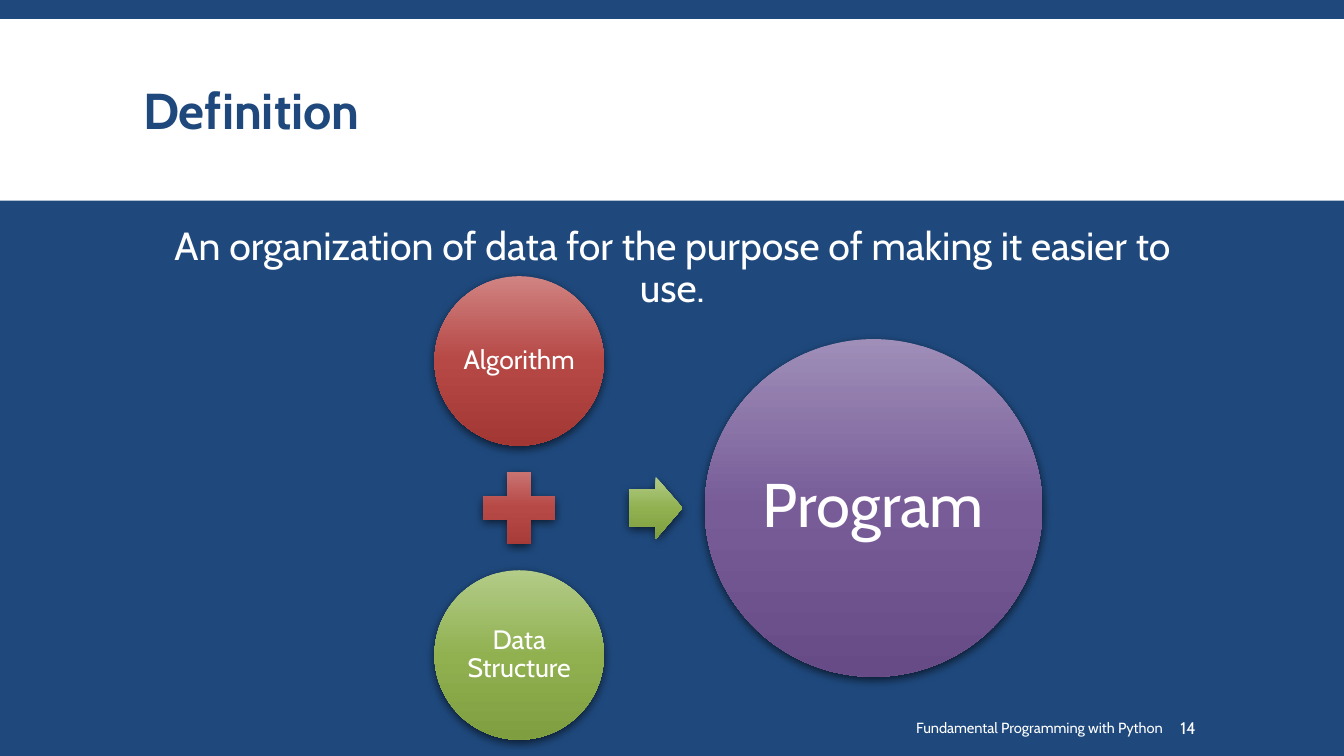
import copy

import pptx
import pptx.dml.color
import pptx.enum.shapes
import pptx.enum.text
import pptx.oxml
import pptx.oxml.ns
import pptx.util

Cm = pptx.util.Cm
Pt = pptx.util.Pt
Shape = pptx.enum.shapes.MSO_SHAPE
Align = pptx.enum.text.PP_ALIGN
Anchor = pptx.enum.text.MSO_ANCHOR

NAVY, WHITE = "1F497D", "FFFFFF"
RED = ("D08382", "B64845", "A33734")
GREEN = ("B3CC88", "91B151", "7F9E3F")
PURPLE = ("9F8EB8", "775C98", "664B87")
SHADOW = (
    f'<a:outerShdw {pptx.oxml.ns.nsdecls("a")} blurRad="{Pt(7)}" dist="{Pt(2.2)}" '
    'dir="5400000" rotWithShape="0"><a:srgbClr val="000000"><a:alpha val="63000"/>'
    '</a:srgbClr></a:outerShdw>'
)


def color(value):
    """Return the colour of a hex string."""
    return pptx.dml.color.RGBColor.from_string(value)


def set_values(target, values):
    """Set each attribute named in the dict."""
    for name, value in values.items():
        setattr(target, name, value)


def place(shape, left, top, width, height):
    """Move and size a shape, in centimetres."""
    set_values(shape, {"left": Cm(left), "top": Cm(top),
                       "width": Cm(width), "height": Cm(height)})


def write(shape, text, size, frame_values, paragraph_values, font_color=WHITE, bold=False):
    """Write one formatted paragraph into a shape."""
    frame = shape.text_frame
    set_values(frame, {"word_wrap": True,
                       "auto_size": pptx.enum.text.MSO_AUTO_SIZE.NONE} | frame_values)
    paragraph = frame.paragraphs[0]
    run = paragraph.add_run()
    run.text = text
    set_values(paragraph, paragraph_values)
    set_values(run.font, {"name": "Cabin", "size": Pt(size), "bold": bold})
    run.font.color.rgb = color(font_color)


def add_text(slide, box, *text_format):
    """Add a text box in the given box."""
    write(slide.shapes.add_textbox(*map(Cm, box)), *text_format)


def add_glossy(slide, kind, box, shades):
    """Add a shape with a vertical gradient and a soft shadow."""
    shape = slide.shapes.add_shape(kind, *map(Cm, box))
    shape.fill.gradient()
    shape.fill.gradient_angle = 270
    stop_list = shape._element.spPr.find(".//" + pptx.oxml.ns.qn("a:gsLst"))
    stop_list.append(copy.deepcopy(stop_list[0]))
    for stop, position, shade in zip(shape.fill.gradient_stops, (0, 0.5, 1), shades):
        stop.position = position
        stop.color.rgb = color(shade)
    shape.line.fill.background()
    shape.shadow.inherit = False
    effects = shape._element.spPr.find(pptx.oxml.ns.qn("a:effectLst"))
    effects.append(pptx.oxml.parse_xml(SHADOW))
    return shape


def add_circle(slide, box, shades, label, size, inset):
    """Add a glossy circle with a centred label."""
    circle = add_glossy(slide, Shape.OVAL, box, shades)
    margins = {f"margin_{side}": Cm(inset) for side in ("left", "top", "right", "bottom")}
    write(circle, label, size, margins | {"vertical_anchor": Anchor.MIDDLE},
          {"alignment": Align.CENTER, "line_spacing": 0.9})


def add_header(slide, left, top, width, height):
    """Add the white band and the title on it."""
    band = slide.shapes.add_shape(Shape.RECTANGLE, *map(Cm, (left, top, width, height)))
    band.fill.solid()
    band.fill.fore_color.rgb = color(WHITE)
    band.line.fill.background()
    band.shadow.inherit = False
    slide.shapes._spTree.insert(2, band._element)
    title = slide.shapes.title
    place(title, left + 3.35, top + 0.31, width - 6.69, 4.19)
    write(title, "Definition", 36, {"vertical_anchor": Anchor.MIDDLE},
          {"alignment": Align.LEFT, "line_spacing": 0.85}, NAVY, True)


def add_definition(slide, *box):
    """Add the centred definition."""
    add_text(slide, box,
             "An organization of data for the purpose of making it easier to use.", 28,
             {"vertical_anchor": Anchor.TOP},
             {"alignment": Align.CENTER, "line_spacing": 0.9, "space_after": Pt(2)})


def add_equation(slide, left, top, width, height):
    """Add algorithm plus data structure, leading to program."""
    small, plus, big = 4.27, 2.46, 8.51
    arrow_width, arrow_height = 1.35, 1.57
    middle = top + height / 2
    terms = (("Algorithm", RED, top), ("Data Structure", GREEN, top + height - small))
    for label, shades, term_top in terms:
        add_circle(slide, (left, term_top, small, small), shades, label, 19, 0.08)
    add_glossy(slide, Shape.MATH_PLUS,
               (left + (small - plus) / 2, middle - plus / 2, plus, plus), RED)
    arrow = add_glossy(slide, Shape.RIGHT_ARROW,
                       (left + small + 0.63, middle - arrow_height / 2,
                        arrow_width, arrow_height), GREEN)
    arrow.adjustments[0] = 0.6
    arrow.adjustments[1] = 0.5
    add_circle(slide, (left + width - big, middle - big / 2, big, big),
               PURPLE, "Program", 44, 0.15)


def add_footer(slide, left, top, width, height):
    """Add the course name and the slide number."""
    number_width = 2.62
    middle = {"vertical_anchor": Anchor.MIDDLE}
    add_text(slide, (left, top, 14.02, height), "Fundamental Programming with Python",
             10.5, middle, {"alignment": Align.RIGHT})
    add_text(slide, (left + width - number_width, top, number_width, height), "14",
             12, middle | {"margin_left": Cm(0.13)}, {"alignment": Align.LEFT})


def main():
    """Build and save the presentation."""
    presentation = pptx.Presentation()
    set_values(presentation, {"slide_width": Cm(33.87), "slide_height": Cm(19.05)})
    slide = presentation.slides.add_slide(presentation.slide_layouts[5])
    slide.background.fill.solid()
    slide.background.fill.fore_color.rgb = color(NAVY)
    add_header(slide, 0, 0.48, 33.87, 4.58)
    add_definition(slide, 3.35, 5.59, 27.18, 11.68)
    add_footer(slide, 15.54, 17.83, 16.7, 1.02)
    add_equation(slide, 10.95, 6.96, 15.32, 11.68)
    presentation.save("out.pptx")


if __name__ == "__main__":
    main()
